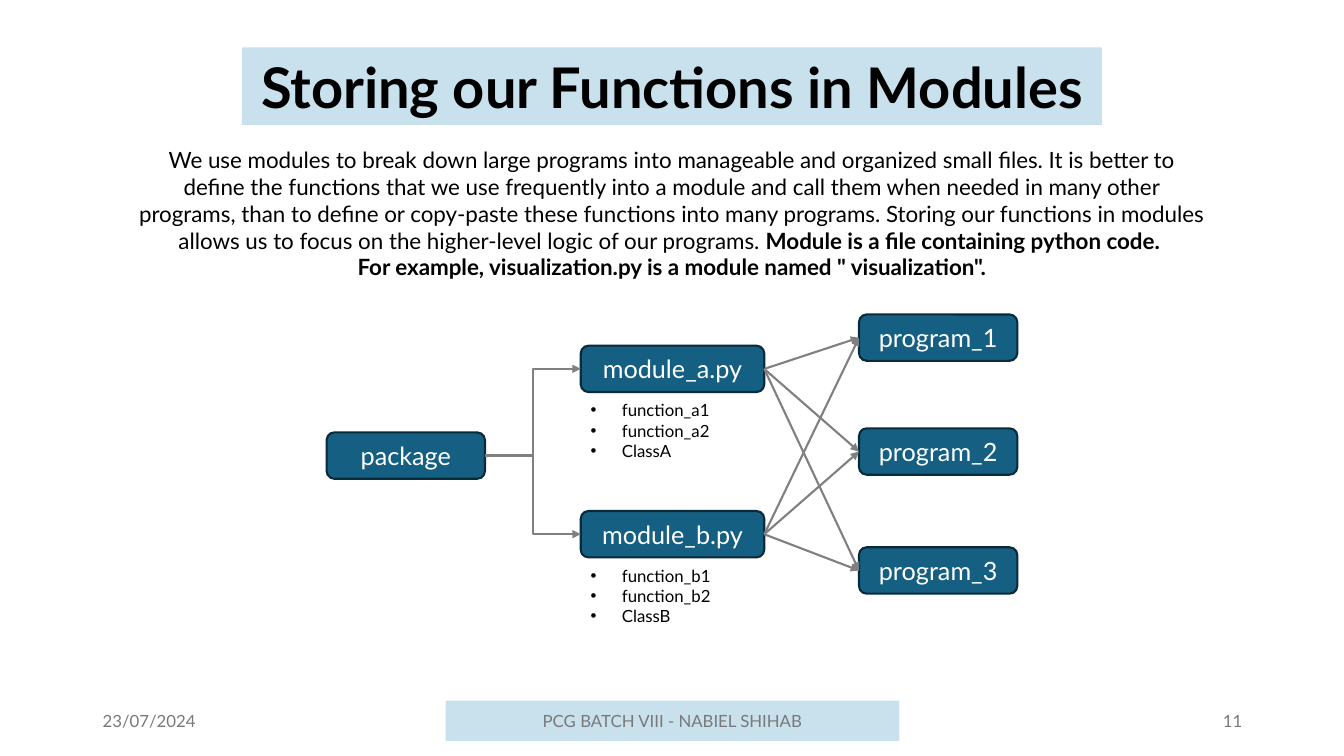
"""Build a slide on storing functions in modules."""
from itertools import product

from pptx import Presentation
from pptx.dml.color import RGBColor
from pptx.enum.shapes import MSO_CONNECTOR as Connector, MSO_SHAPE as Shape
from pptx.enum.text import MSO_ANCHOR as Anchor, MSO_AUTO_SIZE as AutoSize, PP_ALIGN as Align
from pptx.oxml.ns import qn
from pptx.util import Inches, Pt
from lxml.etree import SubElement

COLORS = {
    "band": "C8E1ED", "box": "156082", "box_line": "092A39", "arrow": "808080",
    "footer": "797979", "black": "000000", "white": "FFFFFF",
}
BOX_HEIGHT = 0.46


def color(name):
    return RGBColor.from_string(COLORS[name])


def write(paragraph, text, size=12, ink="black", bold=False, align=Align.LEFT):
    paragraph.alignment = align
    run = paragraph.add_run()
    run.text = text
    run.font.name = "Lato"
    run.font.size = Pt(size)
    run.font.bold = bold
    run.font.color.rgb = color(ink)


presentation = Presentation()
presentation.slide_width = Inches(13.33)
presentation.slide_height = Inches(7.5)
slide = presentation.slides.add_slide(presentation.slide_layouts[5])
shapes = slide.shapes

title = shapes.title
title.left, title.top = Inches(2.4), Inches(0.47)
title.width, title.height = Inches(8.53), Inches(0.77)
title.fill.solid()
title.fill.fore_color.rgb = color("band")
title.text_frame.auto_size = AutoSize.NONE
title.text_frame.vertical_anchor = Anchor.TOP
write(title.text_frame.paragraphs[0], "Storing our Functions in Modules",
      size=40, bold=True, align=Align.CENTER)

intro = shapes.add_textbox(Inches(1.27), Inches(1.4), Inches(10.79), Inches(1.72)).text_frame
intro.word_wrap = True
explanation = intro.paragraphs[0]
write(explanation, "We use modules to break down large programs into manageable and organized "
      "small files. It is better to define the functions that we use frequently into a module "
      "and call them when needed in many other programs, than to define or copy-paste these "
      "functions into many programs. Storing our functions in modules allows us to focus on "
      "the higher-level logic of our programs. ", size=16, align=Align.CENTER)
write(explanation, "Module is a file containing python code. ",
      size=16, bold=True, align=Align.CENTER)
write(intro.add_paragraph(), 'For example, visualization.py is a module named " visualization".',
      size=16, bold=True, align=Align.CENTER)

boxes = {}
for name, left, top, width in [
    ("package", 3.24, 4.29, 1.57),
    ("module_a.py", 5.76, 3.43, 1.82),
    ("module_b.py", 5.76, 5.07, 1.82),
    ("program_1", 8.52, 3.12, 1.57),
    ("program_2", 8.52, 4.25, 1.57),
    ("program_3", 8.52, 5.43, 1.57),
]:
    box = shapes.add_shape(Shape.ROUNDED_RECTANGLE, Inches(left), Inches(top),
                           Inches(width), Inches(BOX_HEIGHT))
    box.shadow.inherit = False
    box.fill.solid()
    box.fill.fore_color.rgb = color("box")
    box.line.color.rgb = color("box_line")
    box.line.width = Pt(1.5)
    box.text_frame.vertical_anchor = Anchor.MIDDLE
    write(box.text_frame.paragraphs[0], name, size=18, ink="white", align=Align.CENTER)
    boxes[name] = box

contents = {
    "module_a.py": ["function_a1", "function_a2", "ClassA"],
    "module_b.py": ["function_b1", "function_b2", "ClassB"],
}
for module, members in contents.items():
    box = boxes[module]
    member_list = shapes.add_textbox(box.left, box.top + Inches(0.49),
                                     box.width, Inches(0.71)).text_frame
    member_list.word_wrap = True
    for index, member in enumerate(members):
        paragraph = member_list.add_paragraph() if index else member_list.paragraphs[0]
        write(paragraph, member)
        properties = paragraph._p.get_or_add_pPr()
        properties.set("marL", str(Inches(0.31)))
        properties.set("indent", str(-Inches(0.31)))
        SubElement(properties, qn("a:buFont")).set("typeface", "Arial")
        SubElement(properties, qn("a:buChar")).set("char", "•")

programs = ["program_1", "program_2", "program_3"]
links = [(Connector.ELBOW, "package", module) for module in contents]
links += [(Connector.STRAIGHT, *pair) for pair in product(contents, programs)]
for kind, source, target in links:
    arrow = shapes.add_connector(kind, 0, 0, 0, 0)
    arrow.begin_connect(boxes[source], 3)
    arrow.end_connect(boxes[target], 1)
    arrow.line.color.rgb = color("arrow")
    arrow.line.width = Pt(1.5)
    SubElement(arrow.line._get_or_add_ln(), qn("a:tailEnd")).set("type", "triangle")
    SubElement(arrow._element.spPr, qn("a:effectLst"))

for text, left, width, align, fill in [
    ("23/07/2024", 0.92, 3, Align.LEFT, None),
    ("PCG BATCH VIII - NABIEL SHIHAB", 4.42, 4.5, Align.CENTER, "band"),
    ("11", 9.42, 3, Align.RIGHT, None),
]:
    footer = shapes.add_textbox(Inches(left), Inches(6.95), Inches(width), Inches(0.4))
    if fill:
        footer.fill.solid()
        footer.fill.fore_color.rgb = color(fill)
    footer.text_frame.word_wrap = True
    footer.text_frame.vertical_anchor = Anchor.MIDDLE
    write(footer.text_frame.paragraphs[0], text, ink="footer", align=align)

presentation.save("out.pptx")
